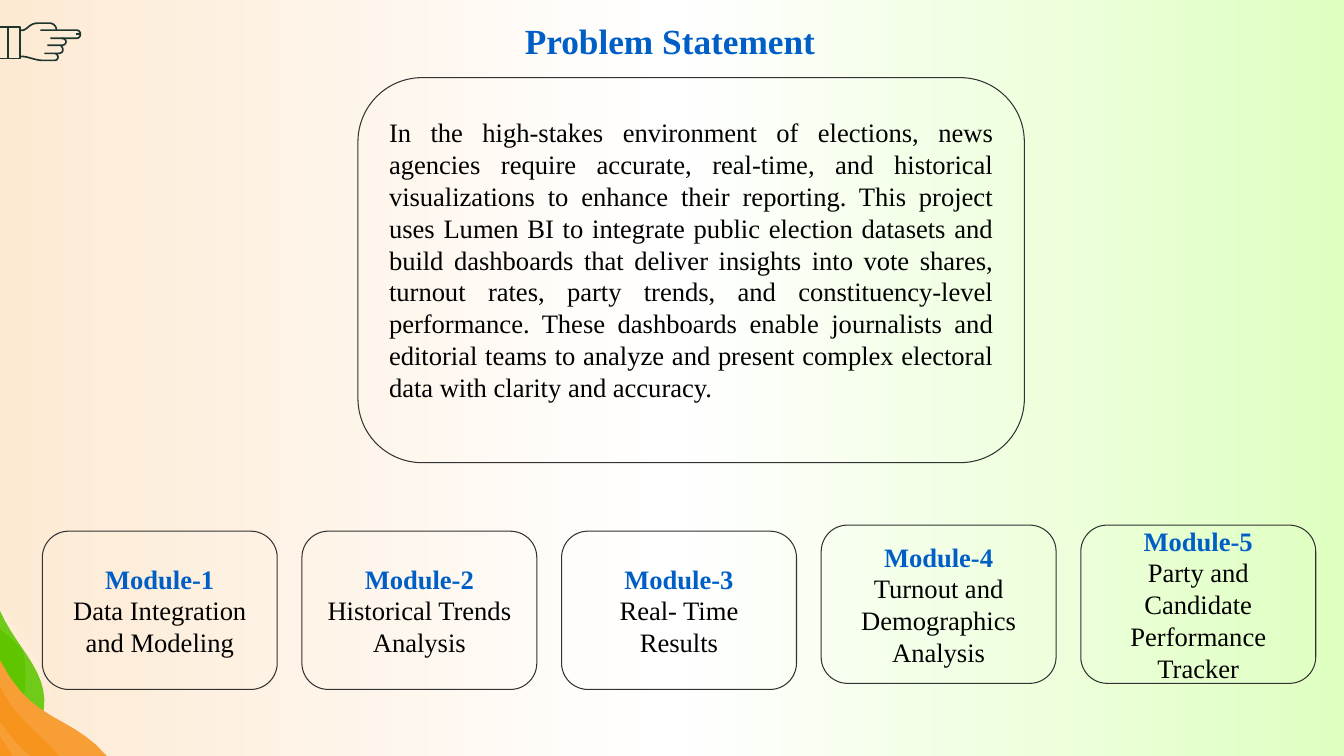
from copy import deepcopy
from dataclasses import dataclass

from lxml.etree import SubElement
from pptx import Presentation
from pptx.dml.color import RGBColor
from pptx.enum.shapes import MSO_SHAPE
from pptx.enum.text import MSO_ANCHOR, PP_ALIGN
from pptx.oxml.ns import qn
from pptx.util import Inches, Pt


@dataclass(frozen=True)
class Theme:
    """Colours, font and type sizes of the slide."""
    font: str = "Times New Roman"
    blue: str = "005FC6"
    black: str = "000000"
    border: str = "323232"
    ink: str = "1F362F"
    green: str = "5FC500"
    orange: str = "F7941D"
    white: str = "FFFFFF"
    background: tuple = ("FDEAD3", "FFFFFF", "DFFFC1")
    title_size: float = 25.2
    body_size: float = 19


THEME = Theme()

PROBLEM = (
    "In the high-stakes environment of elections, news agencies require accurate, "
    "real-time, and historical visualizations to enhance their reporting. This project "
    "uses Lumen BI to integrate public election datasets and build dashboards that "
    "deliver insights into vote shares, turnout rates, party trends, and "
    "constituency-level performance. These dashboards enable journalists and editorial "
    "teams to analyze and present complex electoral data with clarity and accuracy."
)
MODULES = (
    "Data Integration and Modeling",
    "Historical Trends Analysis",
    "Real- Time Results",
    "Turnout and Demographics Analysis",
    "Party and Candidate Performance Tracker",
)
HAND = (
    ((0, 0.01), (0.2, 0.01), (0.2, 0.32), (0, 0.32)),
    ((0.08, 0.01), (0.08, 0.32)),
    ((0.21, 0.04), (0.27, 0.05, 0.28, -0.03, 0.38, -0.03), (0.49, -0.03),
     (0.53, -0.03, 0.56, 0, 0.56, 0.04)),
    ((0.4, 0.04), (0.76, 0.04), (0.81, 0.04, 0.81, 0.12, 0.76, 0.12), (0.5, 0.12)),
    ((0.61, 0.12), (0.67, 0.12, 0.67, 0.19, 0.61, 0.19), (0.47, 0.19)),
    ((0.6, 0.19), (0.63, 0.21, 0.64, 0.27, 0.58, 0.27), (0.44, 0.27)),
    ((0.55, 0.27), (0.59, 0.29, 0.58, 0.34, 0.54, 0.34), (0.43, 0.34),
     (0.35, 0.34, 0.28, 0.3, 0.21, 0.3)),
    ((0.75, 0.08), (0.79, 0.08)),
)
GREEN_SIDE = (0.38, 1.24, 0.44, 1.06, 0.44, 0.88)
ORANGE_CREST = (0.32, 1.12, 0.7, 1.02, 1.06, 1.44)
WAVES = (
    (((0.44, 0.88), (0.43, 0.56, 0.15, 0.34, 0, 0), (0, 1.44), (0.3, 1.44),
      GREEN_SIDE), THEME.green, 100),
    (((0.44, 0.88), (0.43, 0.68, 0.34, 0.52, 0.23, 0.39),
      (0.3, 0.74, 0.21, 1.14, 0.02, 1.44), (0.3, 1.44), GREEN_SIDE), THEME.white, 10),
    (((0, 0.49), ORANGE_CREST, (0, 1.44)), THEME.orange, 100),
    (((0, 0.49), ORANGE_CREST, (0.59, 1.44),
      (0.41, 1.23, 0.16, 1.07, 0, 0.75)), THEME.white, 10),
    (((0, 1.1), (0.09, 1.24, 0.2, 1.36, 0.3, 1.44), (0.13, 1.44),
      (0.08, 1.37, 0.04, 1.3, 0, 1.24)), THEME.white, 10),
    (((0, -0.03), (0.24, 0.22, 0.5, 0.59, 0.52, 1),
      (0.47, 0.66, 0.23, 0.36, 0, 0.18)), THEME.white, 10),
)


def add_text(paragraph, text, *, size=THEME.body_size, color=THEME.black, bold=False,
             align=PP_ALIGN.CENTER):
    """Write formatted text into a paragraph."""
    paragraph.alignment = align
    run = paragraph.add_run()
    run.text = text
    run.font.name = THEME.font
    run.font.size = Pt(size)
    run.font.bold = bold
    run.font.color.rgb = RGBColor.from_string(color)


def trace(contour, steps=10):
    """Return the points of a contour of straight and cubic segments."""
    points = [contour[0]]
    for segment in contour[1:]:
        if len(segment) == 2:
            points.append(segment)
            continue
        start = points[-1]
        ends = start, segment[:2], segment[2:4], segment[4:]
        for step in range(1, steps + 1):
            t = step / steps
            weights = (1 - t) ** 3, 3 * t * (1 - t) ** 2, 3 * t * t * (1 - t), t ** 3
            points.append(tuple(
                sum(weight * end[axis] for weight, end in zip(weights, ends))
                for axis in (0, 1)))
    return points


def add_outline(slide, left, top, contours, close):
    """Draw contours as one freeform measured from a corner."""
    builder = None
    for contour in contours:
        start, *rest = [(Inches(left + x), Inches(top + y)) for x, y in trace(contour)]
        if builder is None:
            builder = slide.shapes.build_freeform(*start)
        else:
            builder.move_to(*start)
        builder.add_line_segments(rest, close=close)
    outline = builder.convert_to_shape()
    outline.shadow.inherit = False
    return outline


def add_background(slide):
    """Fill the slide with the three-colour gradient."""
    fill = slide.background.fill
    fill.gradient()
    fill.gradient_angle = 0
    stop_list = slide.element.find(".//" + qn("a:gsLst"))
    stop_list.insert(1, deepcopy(stop_list[0]))
    for index, (stop, color) in enumerate(zip(fill.gradient_stops, THEME.background)):
        stop.position = index / 2
        stop.color.rgb = RGBColor.from_string(color)


def add_hand(slide, left, top):
    """Draw the pointing hand in thin strokes."""
    hand = add_outline(slide, left, top, HAND, close=False)
    hand.fill.background()
    hand.line.color.rgb = RGBColor.from_string(THEME.ink)
    hand.line.width = Pt(1.2)


def add_waves(slide, left, top):
    """Draw the green and orange corner waves with their light bands."""
    for contour, color, opacity in WAVES:
        wave = add_outline(slide, left, top, [contour], close=True)
        wave.fill.solid()
        wave.fill.fore_color.rgb = RGBColor.from_string(color)
        wave.line.fill.background()
        if opacity < 100:
            tint = wave.element.spPr.find(qn("a:solidFill"))[0]
            SubElement(tint, qn("a:alpha"), val=str(opacity * 1000))


def add_title(slide, left, top, width, height):
    """Place the slide title."""
    title = slide.shapes.title
    title.left, title.top = Inches(left), Inches(top)
    title.width, title.height = Inches(width), Inches(height)
    title.text_frame.vertical_anchor = MSO_ANCHOR.MIDDLE
    heading = title.text_frame.paragraphs[0]
    heading.line_spacing = 0.9
    add_text(heading, "Problem Statement", size=THEME.title_size, color=THEME.blue, bold=True)


def add_frame(slide, left, top, width, height):
    """Draw an unfilled rounded frame and return it."""
    frame = slide.shapes.add_shape(MSO_SHAPE.ROUNDED_RECTANGLE, Inches(left), Inches(top),
                                   Inches(width), Inches(height))
    frame.shadow.inherit = False
    frame.fill.background()
    frame.line.color.rgb = RGBColor.from_string(THEME.border)
    frame.line.width = Pt(0.75)
    return frame


def add_problem(slide, left, top, width, height):
    """Place the problem statement inside its frame."""
    statement = slide.shapes.add_textbox(Inches(left + 0.21), Inches(top + 0.33),
                                         Inches(width - 0.42), Inches(height - 0.84))
    statement.text_frame.word_wrap = True
    add_text(statement.text_frame.paragraphs[0], PROBLEM, align=PP_ALIGN.JUSTIFY)
    add_frame(slide, left, top, width, height)


def add_module(slide, left, top, width, height, number, topic):
    """Place one numbered module card."""
    content = add_frame(slide, left, top, width, height).text_frame
    content.word_wrap = True
    content.vertical_anchor = MSO_ANCHOR.MIDDLE
    content.margin_top = content.margin_bottom = Inches(0.1)
    add_text(content.paragraphs[0], f"Module-{number}", color=THEME.blue, bold=True)
    add_text(content.add_paragraph(), topic)


def main():
    """Build and save the presentation."""
    deck = Presentation()
    deck.slide_width, deck.slide_height = Inches(13.33), Inches(7.5)
    slide = deck.slides.add_slide(deck.slide_layouts[5])
    add_background(slide)
    add_hand(slide, 0, 0.26)
    add_waves(slide, 0, 6.06)
    add_title(slide, 0.48, 0.19, 12.33, 0.48)
    add_problem(slide, 3.55, 0.77, 6.61, 3.82)
    for index, topic in enumerate(MODULES):
        top = 5.27 if index < 3 else 5.21
        add_module(slide, 0.42 + index * 2.575, top, 2.33, 1.57, index + 1, topic)
    deck.save("out.pptx")


if __name__ == "__main__":
    main()
